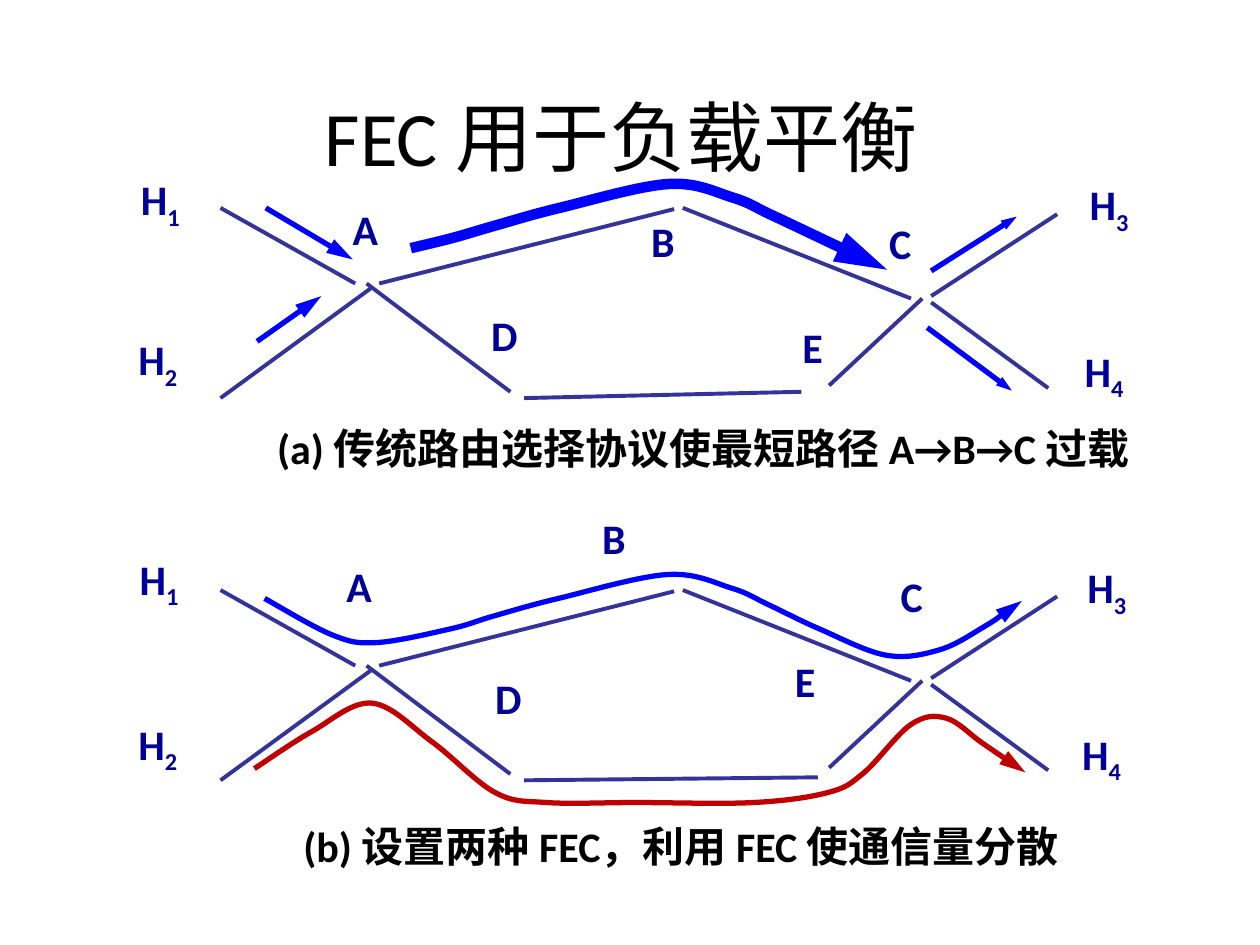
from itertools import pairwise

from lxml import etree
from pptx import Presentation
from pptx.dml.color import RGBColor
from pptx.enum.shapes import MSO_CONNECTOR
from pptx.enum.text import MSO_ANCHOR, PP_ALIGN
from pptx.oxml.ns import qn
from pptx.util import Pt

STRAIGHT = MSO_CONNECTOR.STRAIGHT
TOP, MIDDLE = MSO_ANCHOR.TOP, MSO_ANCHOR.MIDDLE
LEFT, CENTER = PP_ALIGN.LEFT, PP_ALIGN.CENTER

BLACK = RGBColor(0x00, 0x00, 0x00)
NAVY = RGBColor(0x00, 0x00, 0x99)
LINK_COLOR = RGBColor(0x33, 0x33, 0x99)
BLUE = RGBColor(0x00, 0x00, 0xFF)
RED = RGBColor(0xC0, 0x00, 0x00)

PANEL_SHIFT = 218.4
LINKS = [
    (126, 118.8, 203, 162),
    (126, 227.5, 211.7, 164.9),
    (216.7, 162, 385.2, 119.5),
    (390.2, 118.8, 520.6, 170.6),
    (209.5, 162, 291.6, 223.9),
    (473.8, 220.3, 527, 170.6),
    (532.1, 169.2, 604.1, 122.4),
    (532.1, 172.8, 599, 221.8),
]
BOTTOM_LINK_A = (299.5, 227.5, 457.9, 223.9)
BOTTOM_LINK_B = (299.5, 227.5, 467.3, 225.8)

FLOWS_IN = [(151.9, 118.8, 201.6, 148.3), (146.9, 195.1, 183.6, 169.2)]
FLOWS_OUT = [(529.9, 187.2, 578.2, 223.2), (532.1, 154.8, 581, 123.8)]

OVERLOADED_PATH = [
    (234.7, 141.8), (258.5, 136), (283, 128.9), (319.7, 118.8), (382.3, 105.1),
    (419, 113), (439.9, 122.4), (468.7, 136), (506.9, 154.1),
]
UPPER_PATH = [
    (151.2, 342), (190, 362.9), (215.3, 367.2), (257.8, 359.3), (282.2, 352),
    (319, 342), (381.6, 328.3), (418.3, 336.2), (439.2, 345.6), (468, 359.3),
    (506.2, 374.4), (536.4, 371.5), (561.6, 358.6), (583.9, 343.4),
]
LOWER_PATH = [
    (145.4, 439.2), (177.8, 418.3), (212.4, 401.8), (247, 424), (283, 452.9),
    (312.5, 458.6), (363.6, 458.6), (430.6, 458.6), (473, 452.9), (493.2, 442),
    (520.6, 414), (540.7, 410.4), (561.6, 424.8), (586, 441.4),
]

NODES_A = {
    "A": (194.4, 113), "B": (365, 119.5), "C": (501, 121),
    "D": (273.6, 173.5), "E": (451.4, 180),
    "H1": (73.4, 95.8), "H2": (72, 187.2), "H3": (615.6, 98.6), "H4": (612.7, 193.7),
}
NODES_B = {
    "A": (190.8, 316.8), "B": (337, 289.4), "C": (507.6, 322.6),
    "D": (275.8, 380.9), "E": (447.1, 370.8),
    "H1": (72.7, 312.5), "H2": (72, 406.8), "H3": (614.2, 317.5), "H4": (611.3, 412.6),
}


def add_run(paragraph, text, size=24, color=BLACK, bold=True, baseline=0):
    run = paragraph.add_run()
    run.text = text
    run.font.name = "Calibri"
    run.font.size = Pt(size)
    run.font.bold = bold
    run.font.color.rgb = color
    if baseline:
        run._r.get_or_add_rPr().set("baseline", str(baseline))


def smooth_controls(anchors):
    """Return the control and end points of a curve passing through the anchors."""
    last = len(anchors) - 1
    tangents = []
    for i in range(last + 1):
        before, after = anchors[max(i - 1, 0)], anchors[min(i + 1, last)]
        tangents.append(((after[0] - before[0]) / 6, (after[1] - before[1]) / 6))
    points = []
    for (start, leave), (end, arrive) in pairwise(zip(anchors, tangents)):
        points += [(start[0] + leave[0], start[1] + leave[1]),
                   (end[0] - arrive[0], end[1] - arrive[1]), end]
    return points


class Diagram:
    def __init__(self, slide):
        self.slide = slide

    def text_box(self, left, top, width, height, wrap=True, anchor=TOP, align=LEFT):
        frame = self.slide.shapes.add_textbox(
            Pt(left), Pt(top), Pt(width), Pt(height)).text_frame
        frame.word_wrap = wrap
        frame.vertical_anchor = anchor
        frame.paragraphs[0].alignment = align
        return frame.paragraphs[0]

    def title(self, text):
        paragraph = self.text_box(49.7, 28.8, 620.6, 104.4, anchor=MIDDLE, align=CENTER)
        paragraph.line_spacing = 0.9
        add_run(paragraph, text, size=44, bold=False)

    def caption(self, text, left, top, width):
        add_run(self.text_box(left, top, width, 37), text)

    def node(self, name, left, top):
        letter, index = name[0], name[1:]
        paragraph = self.text_box(left, top, 38 if index else 28, 37, wrap=False)
        add_run(paragraph, letter, color=NAVY)
        if index:
            add_run(paragraph, index, color=NAVY, baseline=-25000)

    def stroke(self, shape, color, width, head=None):
        shape.line.color.rgb = color
        shape.line.width = Pt(width)
        if head:
            head_width, head_length = head
            etree.SubElement(shape._element.spPr.find(qn("a:ln")), qn("a:tailEnd"),
                             type="triangle", w=head_width, len=head_length)

    def line(self, x1, y1, x2, y2, color=LINK_COLOR, width=2.25, head=None):
        connector = self.slide.shapes.add_connector(
            STRAIGHT, Pt(x1), Pt(y1), Pt(x2), Pt(y2))
        self.stroke(connector, color, width, head)
        etree.SubElement(connector._element.spPr, qn("a:effectLst"))

    def curve(self, anchors, color, width=3):
        start, *rest = [(Pt(x), Pt(y)) for x, y in [anchors[0], *smooth_controls(anchors)]]
        builder = self.slide.shapes.build_freeform(*start)
        builder.add_line_segments(rest, close=False)
        shape = builder.convert_to_shape()
        shape.shadow.inherit = False
        shape.fill.background()
        self.stroke(shape, color, width, ("med", "lg"))
        outline = next(shape._element.iter(qn("a:path")))
        segments = outline.findall(qn("a:lnTo"))
        for i in range(0, len(segments), 3):
            bezier = etree.SubElement(outline, qn("a:cubicBezTo"))
            for segment in segments[i:i + 3]:
                bezier.append(segment[0])
                outline.remove(segment)

    def network(self, bottom_link, nodes, shift=0):
        for x1, y1, x2, y2 in [*LINKS, bottom_link]:
            self.line(x1, y1 + shift, x2, y2 + shift)
        for name, (left, top) in nodes.items():
            self.node(name, left, top)


def main():
    presentation = Presentation()
    presentation.slide_width, presentation.slide_height = Pt(720), Pt(540)
    diagram = Diagram(presentation.slides.add_slide(presentation.slide_layouts[6]))
    diagram.title("FEC 用于负载平衡 ")

    diagram.network(BOTTOM_LINK_A, NODES_A)
    diagram.curve(OVERLOADED_PATH, BLUE, width=6)
    for flows, head in ((FLOWS_IN, ("med", "lg")), (FLOWS_OUT, ("sm", "med"))):
        for flow in flows:
            diagram.line(*flow, color=BLUE, width=3, head=head)
    diagram.caption("(a) 传统路由选择协议使最短路径 A→B→C 过载", 151.2, 237.6, 514)

    diagram.network(BOTTOM_LINK_B, NODES_B, PANEL_SHIFT)
    diagram.curve(UPPER_PATH, BLUE)
    diagram.curve(LOWER_PATH, RED)
    diagram.caption("(b) 设置两种 FEC，利用 FEC 使通信量分散", 166.3, 465.1, 453.6)

    presentation.save("out.pptx")


if __name__ == "__main__":
    main()
